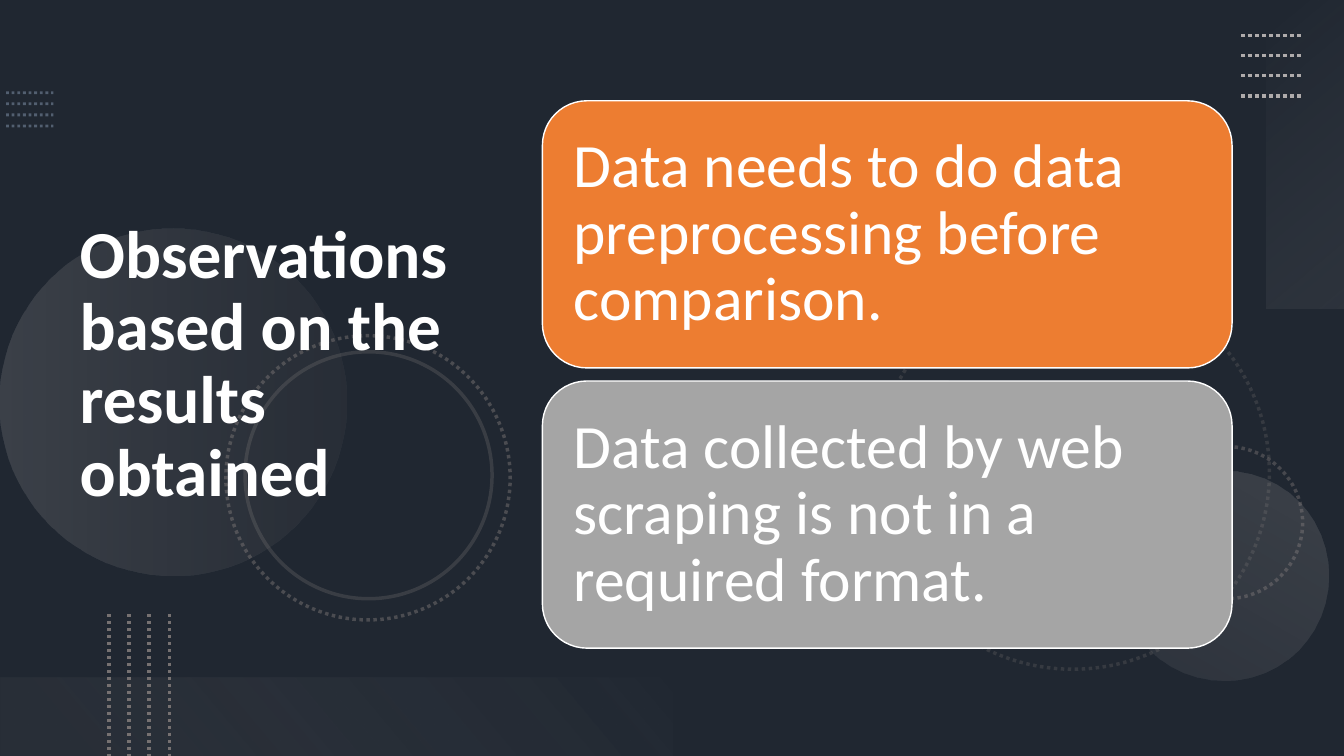
from dataclasses import dataclass
from typing import Optional

from lxml import etree
from pptx import Presentation
from pptx import util as u
from pptx.dml.color import RGBColor
from pptx.enum import dml, shapes, text
from pptx.oxml import ns

EMU_PER_PX = 9144  # 100 px to the inch
FONT = "Calibri"
SLIDE_WIDTH, SLIDE_HEIGHT = 1333, 750

WHITE = RGBColor(0xFF, 0xFF, 0xFF)
BLACK = RGBColor(0x00, 0x00, 0x00)
SLATE = RGBColor(0x44, 0x54, 0x6A)
STEEL = RGBColor(0x84, 0x97, 0xB0)
SILVER = RGBColor(0xAF, 0xAB, 0xAB)
GRAY = RGBColor(0x76, 0x71, 0x71)
MIST = RGBColor(0xF5, 0xF5, 0xF5)
ORANGE = RGBColor(0xED, 0x7D, 0x31)
CARD_GRAY = RGBColor(0xA5, 0xA5, 0xA5)

OVAL = shapes.MSO_SHAPE.OVAL
RECTANGLE = shapes.MSO_SHAPE.RECTANGLE
ROUNDED = shapes.MSO_SHAPE.ROUNDED_RECTANGLE
DOTTED = dml.MSO_LINE.ROUND_DOT


@dataclass(frozen=True)
class Box:
    left: int
    top: int
    width: int
    height: int


@dataclass(frozen=True)
class Stop:
    position: int
    color: RGBColor
    alpha: int


@dataclass(frozen=True)
class Panel:
    kind: shapes.MSO_SHAPE
    box: Box
    rotation: int
    angle: int
    stops: tuple[Stop, Stop]


@dataclass(frozen=True)
class Ring:
    box: Box
    alpha: int
    dash: Optional[dml.MSO_LINE] = DOTTED


@dataclass(frozen=True)
class DotRows:
    box: Box  # size of the first line
    step_x: int
    step_y: int
    color: RGBColor
    weight: float
    alpha: int = 100


@dataclass(frozen=True)
class Card:
    color: RGBColor
    wording: str


RINGS = [
    Ring(Box(869, 274, 390, 390), 25),
    Ring(Box(1141, 443, 151, 151), 45),
    Ring(Box(224, 333, 282, 282), 50),
    Ring(Box(243, 349, 245, 245), 30, None),
]
DISCS = [
    Panel(OVAL, Box(0, 227, 344, 344), 270, 90, (Stop(0, SILVER, 20), Stop(100, GRAY, 10))),
    Panel(OVAL, Box(1110, 467, 208, 208), 210, 90, (Stop(0, SILVER, 10), Stop(100, SILVER, 20))),
]
BANDS = [
    Panel(RECTANGLE, Box(1142, 114, 306, 78), 270, 140, (Stop(0, MIST, 0), Stop(100, SILVER, 10))),
    Panel(RECTANGLE, Box(0, 672, 667, 78), 180, 140, (Stop(10, GRAY, 10), Stop(100, MIST, 0))),
]
DOT_ROWS = [
    DotRows(Box(6, 92, 47, 0), 0, 11, STEEL, 2, 50),
    DotRows(Box(1231, 35, 60, 0), 0, 20, SILVER, 2.5),
    DotRows(Box(108, 609, 0, 141), 20, 0, GRAY, 2.5),
]
CARDS = [
    Card(ORANGE, "Data needs to do data preprocessing before comparison."),
    Card(CARD_GRAY, "Data collected by web scraping is not in a required format."),
]
FIRST_CARD = Box(538, 100, 684, 265)
CARD_STEP = 278


def px(length: int) -> int:
    return u.Emu(length * EMU_PER_PX)


def set_alpha(element, percent: int) -> None:
    for color in element.iter(ns.qn("a:srgbClr")):
        etree.SubElement(color, ns.qn("a:alpha"), val=str(percent * 1000))


def add_box(slide, kind: shapes.MSO_SHAPE, box: Box, rotation: int = 0):
    shape = slide.shapes.add_shape(kind, px(box.left), px(box.top), px(box.width), px(box.height))
    shape.shadow.inherit = False
    shape.rotation = rotation
    shape.line.fill.background()
    return shape


def add_panel(slide, panel: Panel) -> None:
    shape = add_box(slide, panel.kind, panel.box, panel.rotation)
    shape.fill.background()
    properties = shape.element.spPr
    gradient = etree.Element(ns.qn("a:gradFill"), rotWithShape="1")
    stop_list = etree.SubElement(gradient, ns.qn("a:gsLst"))
    for stop in panel.stops:
        entry = etree.SubElement(stop_list, ns.qn("a:gs"), pos=str(stop.position * 1000))
        etree.SubElement(entry, ns.qn("a:srgbClr"), val=str(stop.color))
        set_alpha(entry, stop.alpha)
    etree.SubElement(gradient, ns.qn("a:lin"), ang=str(panel.angle * 60000), scaled="0")
    properties.replace(properties.find(ns.qn("a:noFill")), gradient)


def style_line(shape, color: RGBColor, weight: float, dash: Optional[dml.MSO_LINE], alpha: int) -> None:
    shape.line.color.rgb = color
    shape.line.width = u.Pt(weight)
    if dash is not None:
        shape.line.dash_style = dash
    set_alpha(shape.element.spPr, alpha)


def add_ring(slide, ring: Ring) -> None:
    shape = add_box(slide, OVAL, ring.box, 75)
    shape.fill.background()
    style_line(shape, GRAY, 2.5, ring.dash, ring.alpha)


def add_dot_rows(slide, rows: DotRows) -> None:
    for index in range(4):
        left = rows.box.left + index * rows.step_x
        top = rows.box.top + index * rows.step_y
        connector = slide.shapes.add_connector(
            shapes.MSO_CONNECTOR.STRAIGHT, px(left), px(top),
            px(left + rows.box.width), px(top + rows.box.height))
        style_line(connector, rows.color, rows.weight, DOTTED, rows.alpha)
        etree.SubElement(connector.element.spPr, ns.qn("a:effectLst"))


def write_text(shape, wording: str, size: int, bold: bool) -> None:
    frame = shape.text_frame
    frame.text = wording
    frame.word_wrap = True
    frame.auto_size = text.MSO_AUTO_SIZE.NONE
    frame.vertical_anchor = text.MSO_ANCHOR.MIDDLE
    paragraph = frame.paragraphs[0]
    paragraph.alignment = text.PP_ALIGN.LEFT
    paragraph.line_spacing = 0.9
    font = paragraph.runs[0].font
    font.name, font.size, font.bold = FONT, u.Pt(size), bold
    font.color.rgb = WHITE


def add_title(slide) -> None:
    title = slide.shapes.title
    title.left, title.top, title.width, title.height = px(69), px(54), px(459), px(617)
    write_text(title, "Observations based on the results obtained", 48, True)
    title.text_frame.paragraphs[0].space_after = u.Pt(6)
    title.element.getparent().append(title.element)  # in front of the decoration


def add_card(slide, card: Card, index: int) -> None:
    first = FIRST_CARD
    box = Box(first.left, first.top + index * CARD_STEP, first.width, first.height)
    shape = add_box(slide, ROUNDED, box)
    shape.fill.solid()
    shape.fill.fore_color.rgb = card.color
    shape.line.color.rgb = WHITE
    shape.line.width = u.Pt(1)
    write_text(shape, card.wording, 44, False)
    frame = shape.text_frame
    frame.margin_left = frame.margin_right = frame.margin_top = frame.margin_bottom = px(18)


def main() -> None:
    presentation = Presentation()
    presentation.slide_width, presentation.slide_height = px(SLIDE_WIDTH), px(SLIDE_HEIGHT)
    slide = presentation.slides.add_slide(presentation.slide_layouts.get_by_name("Title Only"))

    # Dark background
    slide.background.fill.solid()
    slide.background.fill.fore_color.rgb = SLATE
    shade = add_box(slide, RECTANGLE, Box(0, 0, SLIDE_WIDTH, SLIDE_HEIGHT))
    shade.fill.solid()
    shade.fill.fore_color.rgb = BLACK
    set_alpha(shade.element.spPr, 53)

    # Decoration
    for ring in RINGS:
        add_ring(slide, ring)
    for panel in DISCS + BANDS:
        add_panel(slide, panel)
    for rows in DOT_ROWS:
        add_dot_rows(slide, rows)

    # Content
    add_title(slide)
    for index, card in enumerate(CARDS):
        add_card(slide, card, index)
    presentation.save("out.pptx")


if __name__ == "__main__":
    main()
